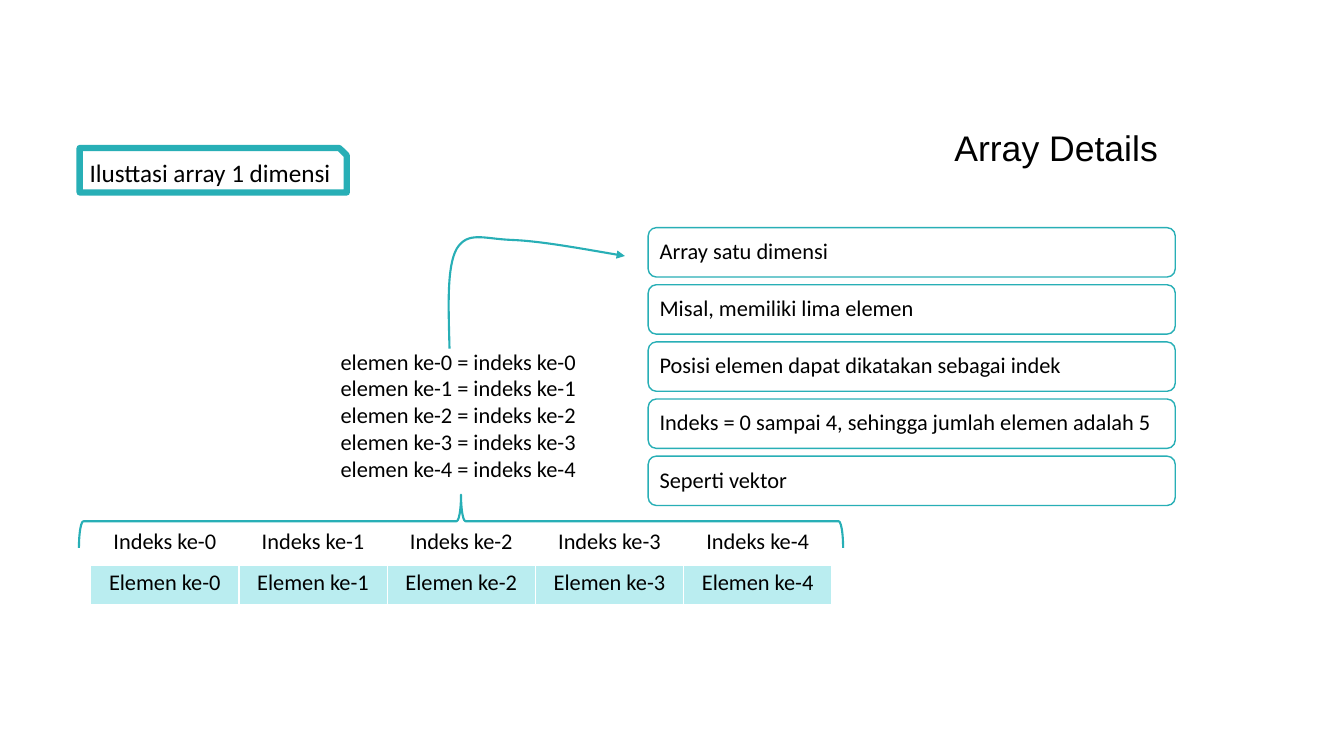
"""Build the slide that explains a one-dimensional array."""
from lxml.etree import SubElement
from pptx import Presentation
from pptx.dml.color import RGBColor
from pptx.enum.shapes import MSO_SHAPE as Shape
from pptx.enum.text import MSO_ANCHOR as Anchor, PP_ALIGN as Align
from pptx.oxml.ns import qn
from pptx.util import Pt

TEAL, PALE, WHITE, BLACK = "28AFB6", "BAEDF0", "FFFFFF", "000000"


def paint(color_format, value):
    color_format.rgb = RGBColor.from_string(value)


def write(frame, text, size, align=Align.LEFT, font="Calibri"):
    frame.text = text
    for para in frame.paragraphs:
        para.alignment = align
        for span in para.runs:
            span.font.name = font
            span.font.size = Pt(size)
            paint(span.font.color, BLACK)


deck = Presentation()
deck.slide_width, deck.slide_height = Pt(960), Pt(540)
page = deck.slides.add_slide(deck.slide_layouts[5])
shapes = page.shapes

title = shapes.title
title.left, title.top, title.width, title.height = Pt(674.5), Pt(86), Pt(180), Pt(38)
write(title.text_frame, "Array Details", 25.4, font="Arial")
title.text_frame.vertical_anchor = Anchor.MIDDLE
title.text_frame.word_wrap = False

facts = [
    "Array satu dimensi",
    "Misal, memiliki lima elemen",
    "Posisi elemen dapat dikatakan sebagai indek",
    "Indeks = 0 sampai 4, sehingga jumlah elemen adalah 5",
    "Seperti vektor",
]
for row, fact in enumerate(facts):
    card = shapes.add_shape(Shape.ROUNDED_RECTANGLE, Pt(463), Pt(162.6 + 40.8 * row), Pt(376.5), Pt(35.3))
    card.shadow.inherit = False
    card.fill.solid()
    paint(card.fill.fore_color, WHITE)
    paint(card.line.color, TEAL)
    card.line.width = Pt(1)
    frame = card.text_frame
    frame.margin_left = frame.margin_right = Pt(6.5)
    frame.vertical_anchor = Anchor.MIDDLE
    write(frame, fact, 16)
    frame.paragraphs[0].line_spacing = 0.9

brace = shapes.add_shape(Shape.LEFT_BRACE, Pt(310.3), Pt(99.4), Pt(38), Pt(545.8))
brace.rotation = 90

pairs = shapes.add_textbox(Pt(236.2), Pt(244.8), Pt(184.3), Pt(104.4))
pairs.text_frame.word_wrap = False
write(pairs.text_frame, "\n".join(f"elemen ke-{i} = indeks ke-{i}" for i in range(5)), 16)

curve_points = [
    (320.4, 219.6), (319, 190.8), (326.2, 177.8),
    (334.1, 164.9), (345.6, 170.6), (365, 171.4),
    (385.2, 172.1), (416.2, 177.8), (446.4, 182.9),
]
builder = shapes.build_freeform(Pt(321.1), Pt(249.1))
builder.add_line_segments([(Pt(x), Pt(y)) for x, y in curve_points], close=False)
arrow = builder.convert_to_shape()
segments = arrow._element.findall(".//" + qn("a:lnTo"))
outline = segments[0].getparent()
for start in range(0, len(segments), 3):
    bend = SubElement(outline, qn("a:cubicBezTo"))
    for segment in segments[start:start + 3]:
        bend.append(segment[0])
        outline.remove(segment)

label = shapes.add_shape(Shape.SNIP_1_RECTANGLE, Pt(56.9), Pt(105.8), Pt(190.8), Pt(31.7))
label.text_frame.word_wrap = False
label.text_frame.vertical_anchor = Anchor.MIDDLE
write(label.text_frame, "Ilusttasi array 1 dimensi", 18)

for shape, width in ((brace, 1.5), (arrow, 1.5), (label, 4.5)):
    shape.shadow.inherit = False
    shape.fill.background()
    paint(shape.line.color, TEAL)
    shape.line.width = Pt(width)
SubElement(arrow._element.spPr.find(qn("a:ln")), qn("a:tailEnd"), type="triangle")

table = shapes.add_table(2, 5, Pt(64.8), Pt(373.7), Pt(529.5), Pt(58.4)).table
table.first_row = table.horz_banding = False
for row, (name, fill, bottom) in enumerate((("Indeks", WHITE, 3), ("Elemen", PALE, 1))):
    for column in range(5):
        cell = table.cell(row, column)
        write(cell.text_frame, f"{name} ke-{column}", 16, Align.CENTER)
        borders = cell._tc.get_or_add_tcPr()
        for side, width in (("L", 1), ("R", 1), ("T", 1), ("B", bottom)):
            border = SubElement(borders, qn(f"a:ln{side}"), w=str(Pt(width)))
            SubElement(SubElement(border, qn("a:solidFill")), qn("a:srgbClr"), val=WHITE)
        cell.fill.solid()
        paint(cell.fill.fore_color, fill)

deck.save("out.pptx")
